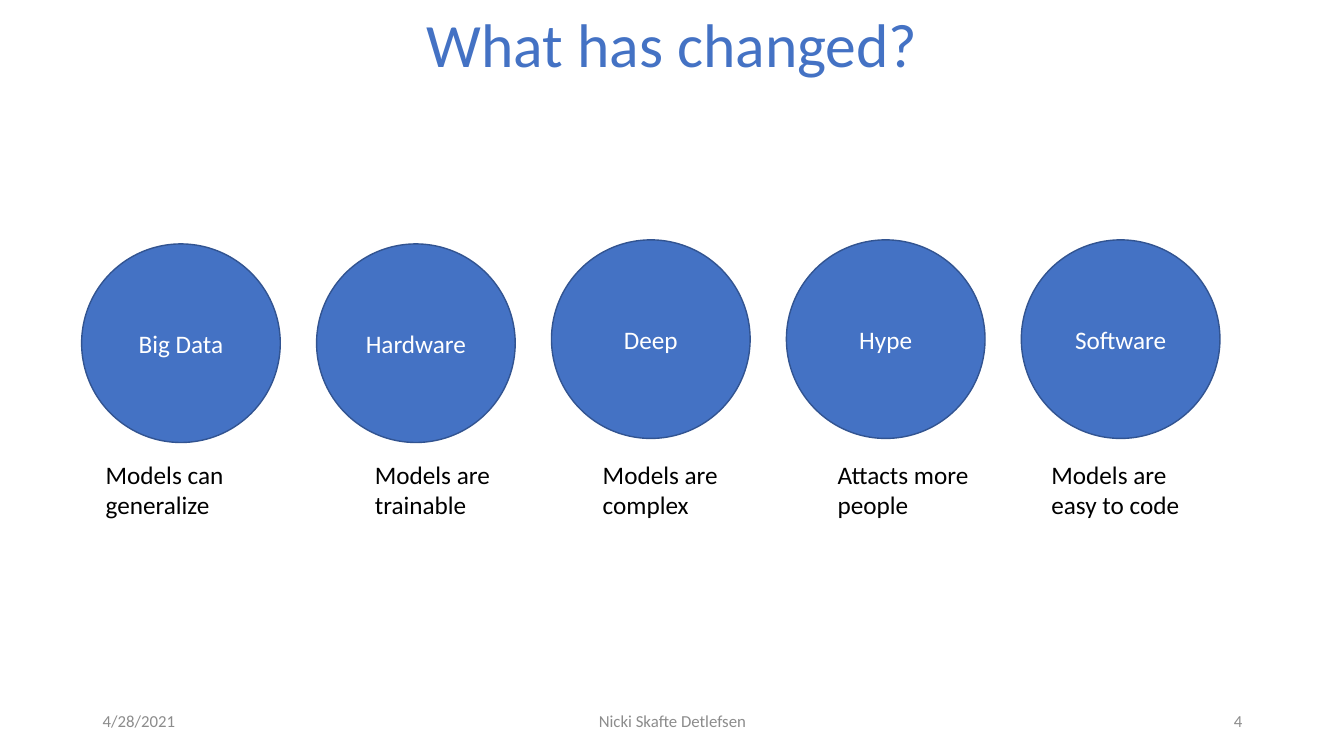
from pptx import Presentation
from pptx.dml.color import RGBColor
from pptx.enum import shapes, text
from pptx.util import Inches, Pt

BLUE = RGBColor(0x44, 0x72, 0xC4)
DARK_BLUE = RGBColor(0x32, 0x54, 0x91)
GRAY = RGBColor(0x8C, 0x8C, 0x8C)
BLACK = RGBColor(0, 0, 0)
WHITE = RGBColor(0xFF, 0xFF, 0xFF)
LEFT, CENTER, RIGHT = text.PP_ALIGN.LEFT, text.PP_ALIGN.CENTER, text.PP_ALIGN.RIGHT
TOP, MIDDLE = text.MSO_ANCHOR.TOP, text.MSO_ANCHOR.MIDDLE

TITLE = "What has changed?"
DRIVERS = [
    ("Big Data", 2.42, "Models can generalize", 0.95),
    ("Hardware", 2.42, "Models are trainable", 3.62),
    ("Deep", 2.38, "Models are complex", 5.88),
    ("Hype", 2.38, "Attacts more people", 8.21),
    ("Software", 2.38, "Models are easy to code", 10.33),
]
FOOTER = [
    ("4/28/2021", 0.92, 3, LEFT),
    ("Nicki Skafte Detlefsen", 4.42, 4.5, CENTER),
    ("4", 9.42, 3, RIGHT),
]
FIRST_LEFT, STEP, DIAMETER = 0.81, 2.33, 1.97


def write(shape, words, size, color, align, anchor):
    frame = shape.text_frame
    frame.text = words
    frame.word_wrap = True
    frame.vertical_anchor = anchor
    para = frame.paragraphs[0]
    para.alignment = align
    para.font.name = "Calibri"
    para.font.size = Pt(size)
    para.font.color.rgb = color
    return para


def add_text(page, words, bounds, size, color, align, anchor):
    box = page.shapes.add_textbox(*map(Inches, bounds))
    write(box, words, size, color, align, anchor)
    return box


def add_circle(page, words, left, top):
    circle = page.shapes.add_shape(
        shapes.MSO_SHAPE.OVAL, *map(Inches, (left, top, DIAMETER, DIAMETER)))
    circle.shadow.inherit = False
    circle.fill.solid()
    circle.fill.fore_color.rgb = BLUE
    circle.line.color.rgb = DARK_BLUE
    circle.line.width = Pt(1)
    write(circle, words, 18, WHITE, CENTER, MIDDLE)


def main():
    deck = Presentation()
    deck.slide_width, deck.slide_height = Inches(13.33), Inches(7.5)
    page = deck.slides.add_slide(deck.slide_layouts[5])

    title = page.shapes.title
    title.left, title.top = Inches(0.92), Inches(-0.25)
    title.width, title.height = Inches(11.5), Inches(1.45)
    write(title, TITLE, 44, BLUE, CENTER, MIDDLE).line_spacing = 0.9

    for words, left, width, align in FOOTER:
        add_text(page, words, (left, 6.95, width, 0.4), 12, GRAY, align, MIDDLE)

    for index, (driver, top, effect, effect_left) in enumerate(DRIVERS):
        add_circle(page, driver, FIRST_LEFT + index * STEP, top)
        caption = add_text(page, effect, (effect_left, 4.51, 1.56, 0.71),
                           18, BLACK, LEFT, TOP)
        caption.text_frame.auto_size = text.MSO_AUTO_SIZE.SHAPE_TO_FIT_TEXT

    deck.save("out.pptx")


if __name__ == "__main__":
    main()
